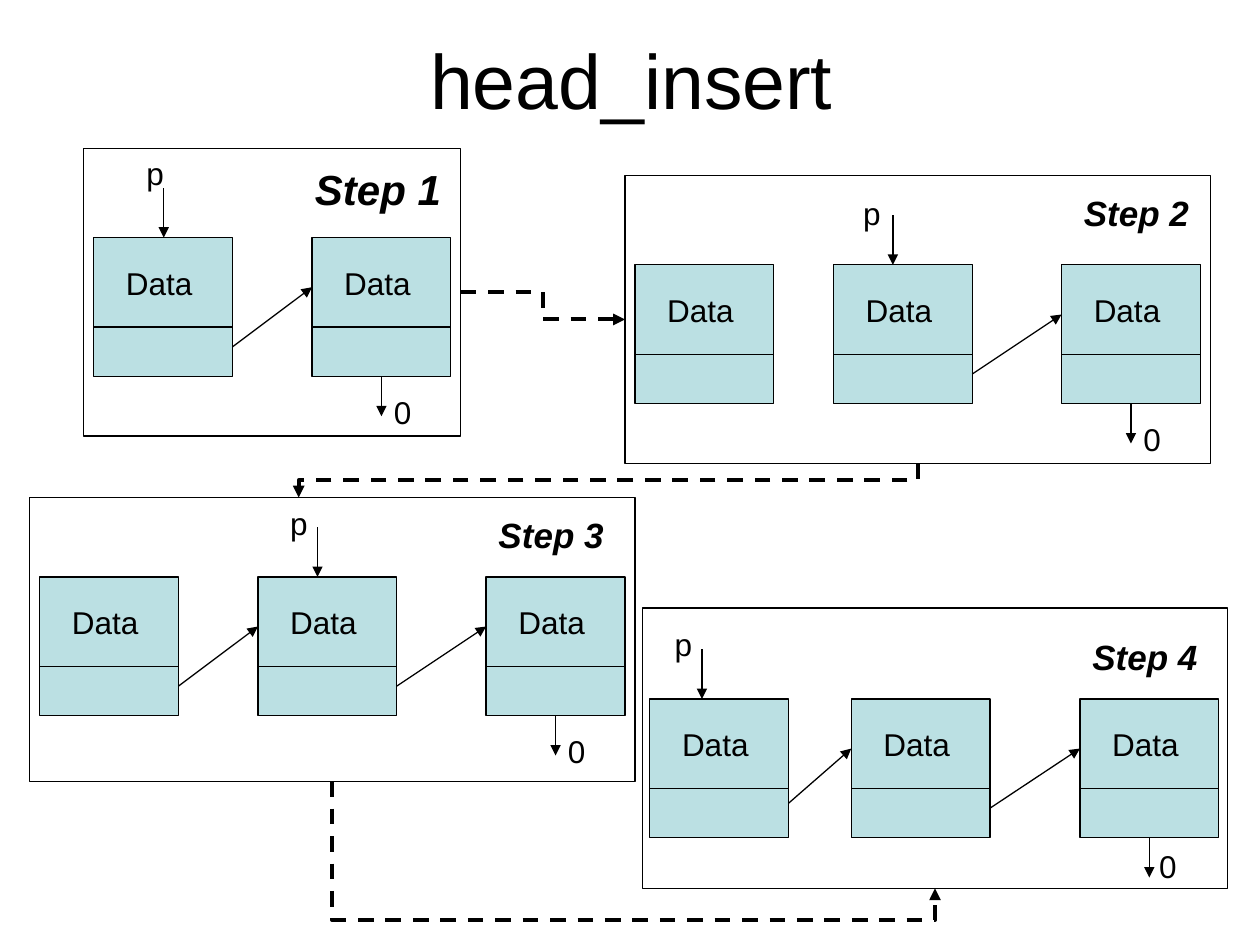
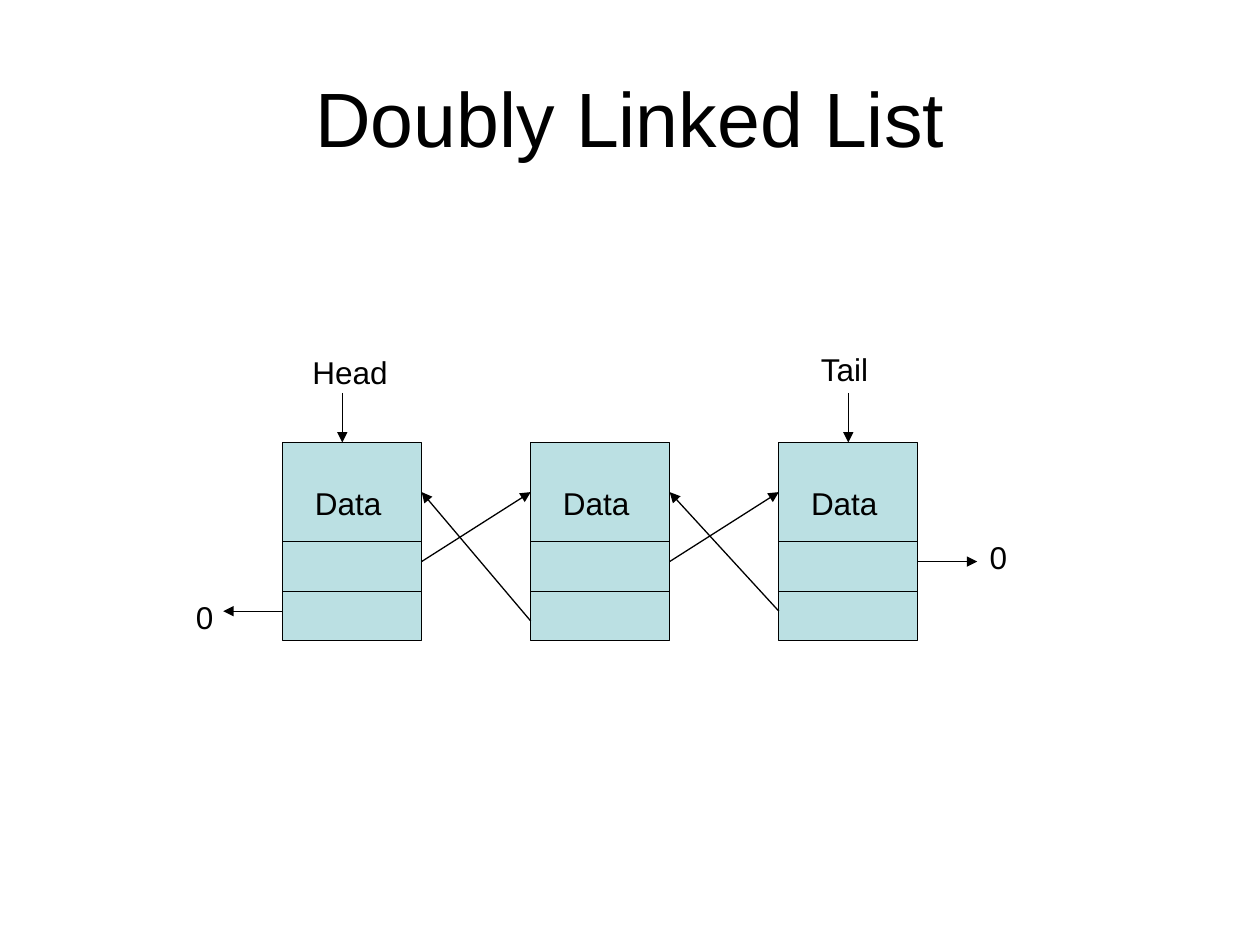
from lxml import etree
from pptx import Presentation
from pptx.dml.color import RGBColor
from pptx.enum.dml import MSO_LINE
from pptx.enum.shapes import MSO_CONNECTOR, MSO_SHAPE
from pptx.enum.text import MSO_ANCHOR, MSO_AUTO_SIZE, PP_ALIGN
from pptx.oxml.ns import qn
from pptx.util import Cm, Pt

RECTANGLE = MSO_SHAPE.RECTANGLE
STRAIGHT, ELBOW = MSO_CONNECTOR.STRAIGHT, MSO_CONNECTOR.ELBOW
DASH = MSO_LINE.DASH
MIDDLE, CENTER = MSO_ANCHOR.MIDDLE, PP_ALIGN.CENTER
GROW = MSO_AUTO_SIZE.SHAPE_TO_FIT_TEXT

COLORS = {"ink": "000000", "node": "BBE0E3"}
FONT = "Arial"
TITLE = {"size": Pt(44)}
LABEL = {"size": Pt(18)}
STEP_BIG = {"size": Pt(24), "bold": True, "italic": True}
STEP = {"size": Pt(20), "bold": True, "italic": True}
LABEL_SIZES = {"Data": (1.87, 1.02), "p": (0.87, 1.02), "0": (0.87, 1.02),
               "Head": (2.05, 1.02), "Tail": (1.54, 1.02),
               "Step 1": (3.1, 1.27), "Step 2": (2.72, 1.12),
               "Step 3": (2.72, 1.12), "Step 4": (2.72, 1.12)}

NODE_WIDTH = 2.8
ENTRY = 1.0
POINTER = 1.0
THIN, THICK = 0.75, 2.25

SINGLE = {"height": 2.8, "dividers": [1.8], "data": 0.4}
DOUBLE = {"height": 4.0, "dividers": [2.0, 3.0], "data": 0.72}

INSERT_TITLE = ("head_insert", (1.3, 0))
INSERT_STEPS = [
    {"name": "Step 1", "name_at": (6.1, 3.18),
     "format": STEP_BIG, "frame": (1.69, 2.99, 7.6, 5.8), "top": 4.79,
     "nodes": [1.89, 6.29], "exits": {0: 2.2},
     "p_at": (2.7, 2.99), "p_arrow": 3.3, "zero_shift": (0, 0.2)},
    {"name": "Step 2", "name_at": (21.6, 3.74),
     "format": STEP, "frame": (12.6, 3.54, 11.8, 5.8), "top": 5.34,
     "nodes": [12.8, 16.8, 21.4], "exits": {1: 2.2},
     "p_at": (17.15, 3.78), "p_arrow": 18.0, "zero_shift": (0, 0.2)},
    {"name": "Step 3", "name_at": (9.8, 10.23),
     "format": STEP, "frame": (0.6, 10.03, 12.2, 5.72), "top": 11.63,
     "nodes": [0.8, 5.2, 9.8], "exits": {0: 2.2, 1: 2.2},
     "p_at": (5.6, 10.03), "p_arrow": 6.4, "zero_shift": (0, 0.2)},
    {"name": "Step 4", "name_at": (21.77, 12.68),
     "format": STEP, "frame": (12.95, 12.26, 11.8, 5.65), "top": 14.09,
     "nodes": [13.1, 17.16, 21.77], "exits": {0: 2.1, 1: 2.2},
     "p_at": (13.35, 12.47), "p_arrow": 14.15, "zero_shift": (-0.05, 0.07)},
]
STEP_3_ARRIVAL = 6.02
LAST_BEND = 18.55

DOUBLY_TITLE = ("Doubly Linked List", (1.27, 0.76))
DOUBLY_TOP, DOUBLY_LEFT, DOUBLY_PITCH, DOUBLY_COUNT = 8.92, 5.7, 5.0, 3
NEXT_EXIT = 2.4
PREVIOUS_EXITS = [3.4, 3.6, 3.4]
END_ARROW = 1.2
DOUBLY_LABELS = [("0", (3.7, 11.93)), ("0", (19.7, 10.72)),
                 ("Head", (6.05, 6.99)), ("Tail", (16.3, 6.94))]
END_POINTERS = [6.9, 17.1]


def rgb(name):
    return RGBColor.from_string(COLORS[name])


def add_text(slide, text, at, size, style):
    box = slide.shapes.add_textbox(*map(Cm, (*at, *size)))
    paragraph = box.text_frame.paragraphs[0]
    run = paragraph.add_run()
    run.text = text
    for name, value in {"name": FONT, **style}.items():
        setattr(run.font, name, value)
    run.font.color.rgb = rgb("ink")
    return box.text_frame


def add_label(slide, text, at, style=LABEL):
    frame = add_text(slide, text, at, LABEL_SIZES[text], style)
    frame.word_wrap = False
    frame.auto_size = GROW


def add_title(slide, text, at):
    frame = add_text(slide, text, at, (22.86, 3.18), TITLE)
    frame.word_wrap = True
    frame.vertical_anchor = MIDDLE
    frame.paragraphs[0].alignment = CENTER


def add_box(slide, bounds, fill=None):
    box = slide.shapes.add_shape(RECTANGLE, *map(Cm, bounds))
    box.shadow.inherit = False
    if fill:
        box.fill.solid()
        box.fill.fore_color.rgb = rgb(fill)
    else:
        box.fill.background()
    box.line.color.rgb = rgb("ink")
    box.line.width = Pt(THIN)


def add_line(slide, start, end, arrow=True, kind=STRAIGHT, width=THIN, dash=None):
    line = slide.shapes.add_connector(kind, *map(Cm, (*start, *end)))
    line.line.color.rgb = rgb("ink")
    line.line.width = Pt(width)
    if dash:
        line.line.dash_style = dash
    if arrow:
        etree.SubElement(line.line._get_or_add_ln(), qn("a:tailEnd"), type="triangle")
    etree.SubElement(line.element.spPr, qn("a:effectLst"))
    return line


def add_step_link(slide, start, end):
    return add_line(slide, start, end, kind=ELBOW, width=THICK, dash=DASH)


def add_downward_link(slide, start, end, bend=0.5):
    (x1, y1), (x2, y2) = start, end
    middle_x, middle_y = (x1 + x2) / 2, (y1 + y2) / 2
    half_run, half_drop = abs(x2 - x1) / 2, (y2 - y1) / 2
    rightward = x2 > x1
    side = half_drop if rightward else -half_drop
    link = add_step_link(slide, (middle_x + side, middle_y - half_run),
                         (middle_x - side, middle_y + half_run))
    properties = link.element.spPr
    properties.find(qn("a:xfrm")).set("rot", str((270 if rightward else 90) * 60000))
    guides = properties.find(qn("a:prstGeom")).find(qn("a:avLst"))
    etree.SubElement(guides, qn("a:gd"), name="adj1", fmla=f"val {round(bend * 100000)}")


def add_node(slide, left, top, layout):
    add_box(slide, (left, top, NODE_WIDTH, layout["height"]), "node")
    for offset in layout["dividers"]:
        add_line(slide, (left, top + offset), (left + NODE_WIDTH, top + offset), arrow=False)
    add_label(slide, "Data", (left + 0.4, top + layout["data"]))


def add_pointer(slide, x, top):
    add_line(slide, (x, top - POINTER), (x, top))


def add_step(slide, step):
    top, nodes = step["top"], step["nodes"]
    add_box(slide, step["frame"])
    for left in nodes:
        add_node(slide, left, top, SINGLE)
    for index, leave in step["exits"].items():
        add_line(slide, (nodes[index] + NODE_WIDTH, top + leave),
                 (nodes[index + 1], top + ENTRY))
    add_pointer(slide, step["p_arrow"], top)
    add_label(slide, "p", step["p_at"])
    end_x, bottom = nodes[-1] + NODE_WIDTH / 2, top + SINGLE["height"]
    add_line(slide, (end_x, bottom), (end_x, bottom + 0.8))
    shift_x, shift_y = step["zero_shift"]
    add_label(slide, "0", (end_x + shift_x, bottom + shift_y))
    add_label(slide, step["name"], step["name_at"], step["format"])


def frame_point(step, across, down):
    left, top, width, height = step["frame"]
    return left + width * across, top + height * down


def build_head_insert(slide):
    add_title(slide, *INSERT_TITLE)
    for step in INSERT_STEPS:
        add_step(slide, step)
    first, second, third, fourth = INSERT_STEPS
    add_step_link(slide, frame_point(first, 1, 0.5), frame_point(second, 0, 0.5))
    add_downward_link(slide, frame_point(second, 0.5, 1), (STEP_3_ARRIVAL, third["frame"][1]))
    start, end = frame_point(third, 0.5, 1), frame_point(fourth, 0.5, 1)
    add_downward_link(slide, start, end, (LAST_BEND - start[1]) / (end[1] - start[1]))


def build_doubly_linked(slide):
    add_title(slide, *DOUBLY_TITLE)
    top = DOUBLY_TOP
    lefts = [DOUBLY_LEFT + DOUBLY_PITCH * index for index in range(DOUBLY_COUNT)]
    for left in lefts:
        add_node(slide, left, top, DOUBLE)
    for left, right, leave in zip(lefts, lefts[1:], PREVIOUS_EXITS[1:]):
        edge = left + NODE_WIDTH
        add_line(slide, (edge, top + NEXT_EXIT), (right, top + ENTRY))
        add_line(slide, (right, top + leave), (edge, top + ENTRY))
    head, tail = lefts[0], lefts[-1] + NODE_WIDTH
    head_y, tail_y = top + PREVIOUS_EXITS[0], top + NEXT_EXIT
    add_line(slide, (head, head_y), (head - END_ARROW, head_y))
    add_line(slide, (tail, tail_y), (tail + END_ARROW, tail_y))
    for x in END_POINTERS:
        add_pointer(slide, x, top)
    for text, at in DOUBLY_LABELS:
        add_label(slide, text, at)


def main():
    deck = Presentation()
    deck.slide_width, deck.slide_height = Cm(25.4), Cm(19.05)
    for build in (build_head_insert, build_doubly_linked):
        build(deck.slides.add_slide(deck.slide_layouts[6]))
    deck.save("out.pptx")


if __name__ == "__main__":
    main()
